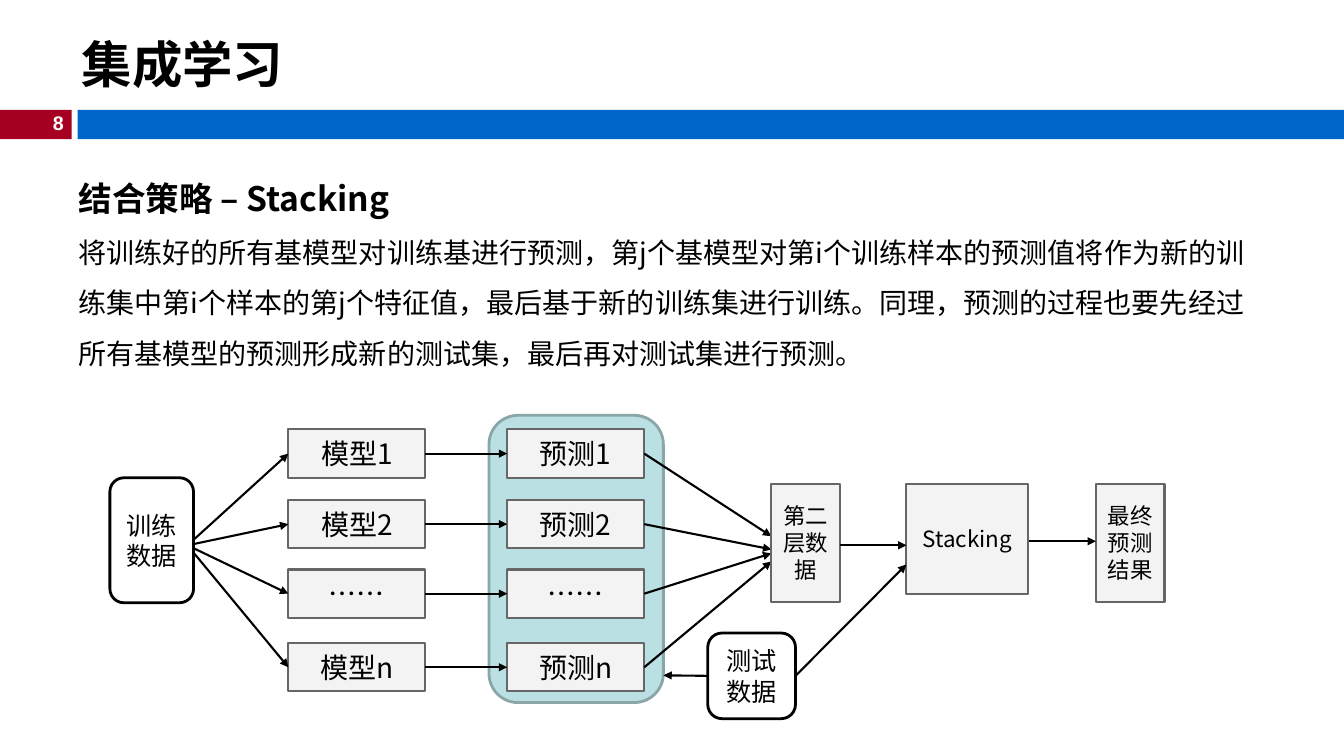
from lxml.etree import SubElement
from pptx import Presentation
from pptx.dml.color import RGBColor
from pptx.enum.shapes import MSO_CONNECTOR, MSO_SHAPE
from pptx.enum.text import MSO_ANCHOR, MSO_AUTO_SIZE, PP_ALIGN
from pptx.oxml.ns import qn
from pptx.util import Pt

PX = 9144
FONT = "Noto Sans CJK SC"
RECT, ROUND = MSO_SHAPE.RECTANGLE, MSO_SHAPE.ROUNDED_RECTANGLE
LEFT, MID, RIGHT = PP_ALIGN.LEFT, PP_ALIGN.CENTER, PP_ALIGN.RIGHT
TOP, CENTER = MSO_ANCHOR.TOP, MSO_ANCHOR.MIDDLE
color = RGBColor.from_string

deck = Presentation()
deck.slide_width, deck.slide_height = 1333 * PX, 750 * PX
slide = deck.slides.add_slide(deck.slide_layouts[5])
shapes = slide.shapes


def put(text, at, item=None, kind=None, fill=None, edge=None, line=1.5, size=20,
        bold=False, ink="000000", font=FONT, align=MID, anchor=CENTER,
        space=1, pad=5, wrap=True):
    place = [n * PX for n in at]
    if kind:
        item = shapes.add_shape(kind, *place)
        item.shadow.inherit = False
        item.fill.solid()
        item.fill.fore_color.rgb = color(fill)
        if edge:
            item.line.color.rgb = color(edge)
            item.line.width = Pt(line)
        else:
            item.line.fill.background()
    elif item is None:
        item = shapes.add_textbox(*place)
    item.left, item.top, item.width, item.height = place
    if not text:
        return item
    frame = item.text_frame
    frame.text = text
    frame.word_wrap = wrap
    frame.auto_size = MSO_AUTO_SIZE.NONE
    frame.vertical_anchor = anchor
    frame.margin_left = frame.margin_right = 10 * PX
    frame.margin_top = frame.margin_bottom = pad * PX
    for para in frame.paragraphs:
        para.alignment = align
        para.line_spacing = space
        para.space_before = Pt(0)
        for run in para.runs:
            run.font.name = font
            run.font.size = Pt(size)
            run.font.bold = bold
            run.font.color.rgb = color(ink)
            SubElement(run.font._element, qn("a:ea"), typeface=font)
    return item


def link(start, end, source=None, side=3, target=None):
    arrow = shapes.add_connector(MSO_CONNECTOR.STRAIGHT, *[n * PX for n in start + end])
    if source is not None:
        arrow.begin_connect(source, side)
    if target is not None:
        arrow.end_connect(target, 1)
    arrow.line.color.rgb = color("000000")
    arrow.line.width = Pt(1.5)
    SubElement(arrow.line._get_or_add_ln(), qn("a:tailEnd"), type="triangle")
    SubElement(arrow._element.spPr, qn("a:effectLst"))


put("", (0, 109, 71, 29), kind=RECT, fill="A50021")
put("", (77, 109, 1256, 29), kind=RECT, fill="0066CC")
put("8", (29, 105, 44, 34), size=14, bold=True, ink="FFFFFF", font="Arial",
    align=RIGHT, anchor=TOP, wrap=False)
put("集成学习", (71, 27, 736, 72), item=shapes.title, size=36, bold=True, align=LEFT)
body = put("结合策略 – Stacking\n"
           "将训练好的所有基模型对训练基进行预测，第j个基模型对第i个训练样本的预测值将作为新的"
           "训练集中第i个样本的第j个特征值，最后基于新的训练集进行训练。同理，预测的过程也要先"
           "经过所有基模型的预测形成新的测试集，最后再对测试集进行预测。",
           (68, 152, 1198, 214), align=LEFT, anchor=TOP, space=1.5)
head = body.text_frame.paragraphs[0].runs[0].font
head.size, head.bold = Pt(24), True

gray = dict(kind=RECT, fill="F3F3F3", edge="666666", pad=10)
white = dict(kind=ROUND, fill="FFFFFF", edge="000000", line=2, size=18)
put("", (485, 412, 173, 285), kind=ROUND, fill="BBE0E3", edge="8AA6A8", line=2)

rows = [("1", 426, 532), ("2", 496, 545), ("", 565, 549), ("n", 638, 557)]
for mark, top, hit in rows:
    mid = top + 24
    model = put("模型" + mark if mark else "……", (286, top, 136, 48), **gray)
    guess = put("预测" + mark if mark else "……", (503, top, 136, 48), **gray)
    link((186, 541), (286, mid), target=model)
    link((422, mid), (503, mid), source=model, target=guess)
    link((639, mid), (765, hit), source=guess)

put("训练数据", (109, 474, 83, 124), **white)
put("第二层数据", (765, 480, 68, 117), size=16, **gray)
put("Stacking", (899, 480, 121, 109), size=16, **gray)
put("最终预测结果", (1087, 480, 68, 117), size=16, **gray)
link((833, 541), (899, 541))
link((1021, 537), (1087, 537))

test = put("测试数据", (702, 628, 87, 85), **white)
link((702, 670), (658, 670), source=test, side=1)
link((789, 670), (899, 560), source=test)

deck.save("out.pptx")
